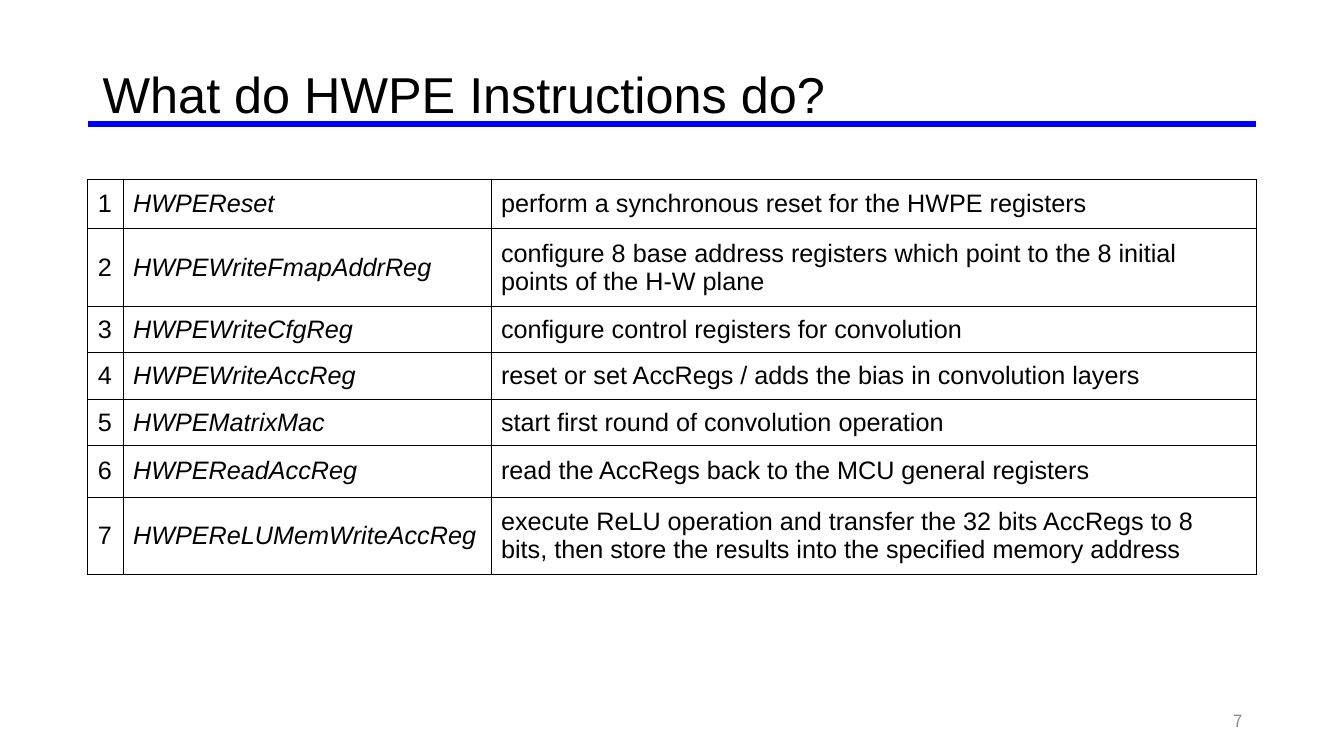
import pptx
import pptx.dml.color
import pptx.enum.shapes
import pptx.enum.text
import pptx.oxml
import pptx.oxml.ns
import pptx.util
from lxml import etree

RGBColor = pptx.dml.color.RGBColor
Inches = pptx.util.Inches
Pt = pptx.util.Pt
ALIGN = pptx.enum.text.PP_ALIGN
MIDDLE = pptx.enum.text.MSO_ANCHOR.MIDDLE

BLACK = RGBColor(0x00, 0x00, 0x00)
BLUE = RGBColor(0x00, 0x00, 0xFF)
GRAY = RGBColor(0x8C, 0x8C, 0x8C)

SLIDE_WIDTH, SLIDE_HEIGHT = 13.33, 7.5
LEFT = 0.87
COLUMN_WIDTHS = (0.35, 3.65, 7.59)
ROW_HEIGHTS = (0.49, 0.77, 0.46, 0.46, 0.46, 0.51, 0.77)
CONTENT_WIDTH = sum(COLUMN_WIDTHS)

INSTRUCTIONS = (
    ("HWPEReset", "perform a synchronous reset for the HWPE registers"),
    ("HWPEWriteFmapAddrReg",
     "configure 8 base address registers which point to the 8 initial points of the H-W plane"),
    ("HWPEWriteCfgReg", "configure control registers for convolution"),
    ("HWPEWriteAccReg", "reset or set AccRegs / adds the bias in convolution layers"),
    ("HWPEMatrixMac", "start first round of convolution operation"),
    ("HWPEReadAccReg", "read the AccRegs back to the MCU general registers"),
    ("HWPEReLUMemWriteAccReg",
     "execute ReLU operation and transfer the 32 bits AccRegs to 8 bits, "
     "then store the results into the specified memory address"),
)


def write(frame, text, size, color=BLACK, font="Arial", italic=False):
    """Add one formatted run to the first paragraph and return the paragraph."""
    frame.word_wrap = True
    paragraph = frame.paragraphs[0]
    run = paragraph.add_run()
    run.text = text
    run.font.size = Pt(size)
    run.font.name = font
    run.font.italic = italic
    run.font.color.rgb = color
    return paragraph


def add_label(slide, left, top, width, height, text, size, **style):
    """Add a vertically centred text box and return its paragraph."""
    box = slide.shapes.add_textbox(*map(Inches, (left, top, width, height)))
    box.text_frame.vertical_anchor = MIDDLE
    return write(box.text_frame, text, size, **style)


def add_rule(slide, top):
    """Draw the blue rule under the title."""
    rule = slide.shapes.add_connector(
        pptx.enum.shapes.MSO_CONNECTOR.STRAIGHT,
        *map(Inches, (LEFT, top, LEFT + CONTENT_WIDTH, top)))
    rule.line.color.rgb = BLUE
    rule.line.width = Pt(4.5)
    etree.SubElement(rule._element.spPr, pptx.oxml.ns.qn("a:effectLst"))


def outline(cell):
    """Give a cell thin black borders and no fill."""
    properties = cell._tc.get_or_add_tcPr()
    for side in ("lnL", "lnR", "lnT", "lnB"):
        properties.append(pptx.oxml.parse_xml(
            f'<a:{side} {pptx.oxml.ns.nsdecls("a")} w="{Pt(0.5)}">'
            f'<a:solidFill><a:srgbClr val="{BLACK}"/></a:solidFill></a:{side}>'))
    cell.fill.background()


def add_instruction_table(slide, top):
    """Build the numbered table of instructions."""
    table = slide.shapes.add_table(
        len(ROW_HEIGHTS), len(COLUMN_WIDTHS),
        *map(Inches, (LEFT, top, CONTENT_WIDTH, sum(ROW_HEIGHTS)))).table
    table.first_row = table.horz_banding = False
    for column, width in zip(table.columns, COLUMN_WIDTHS):
        column.width = Inches(width)
    for number, (row, height, instruction) in enumerate(
            zip(table.rows, ROW_HEIGHTS, INSTRUCTIONS), start=1):
        row.height = Inches(height)
        for position, text in enumerate((str(number), *instruction)):
            cell = row.cells[position]
            cell.vertical_anchor = MIDDLE
            write(cell.text_frame, text, 18, italic=position == 1)
            outline(cell)


def main():
    """Create the slide and save it."""
    deck = pptx.Presentation()
    deck.slide_width, deck.slide_height = Inches(SLIDE_WIDTH), Inches(SLIDE_HEIGHT)
    slide = deck.slides.add_slide(deck.slide_layouts[6])
    title = add_label(slide, 0.92, 0.24, 11.5, 1.45, "What do HWPE Instructions do?", 36)
    title.line_spacing = 0.9
    add_instruction_table(slide, 1.78)
    page_number = add_label(slide, 9.42, 6.95, 3, 0.4, "7", 12,
                            color=GRAY, font="Noto Sans CJK SC")
    page_number.alignment = ALIGN.RIGHT
    add_rule(slide, 1.23)
    deck.save("out.pptx")


main()
